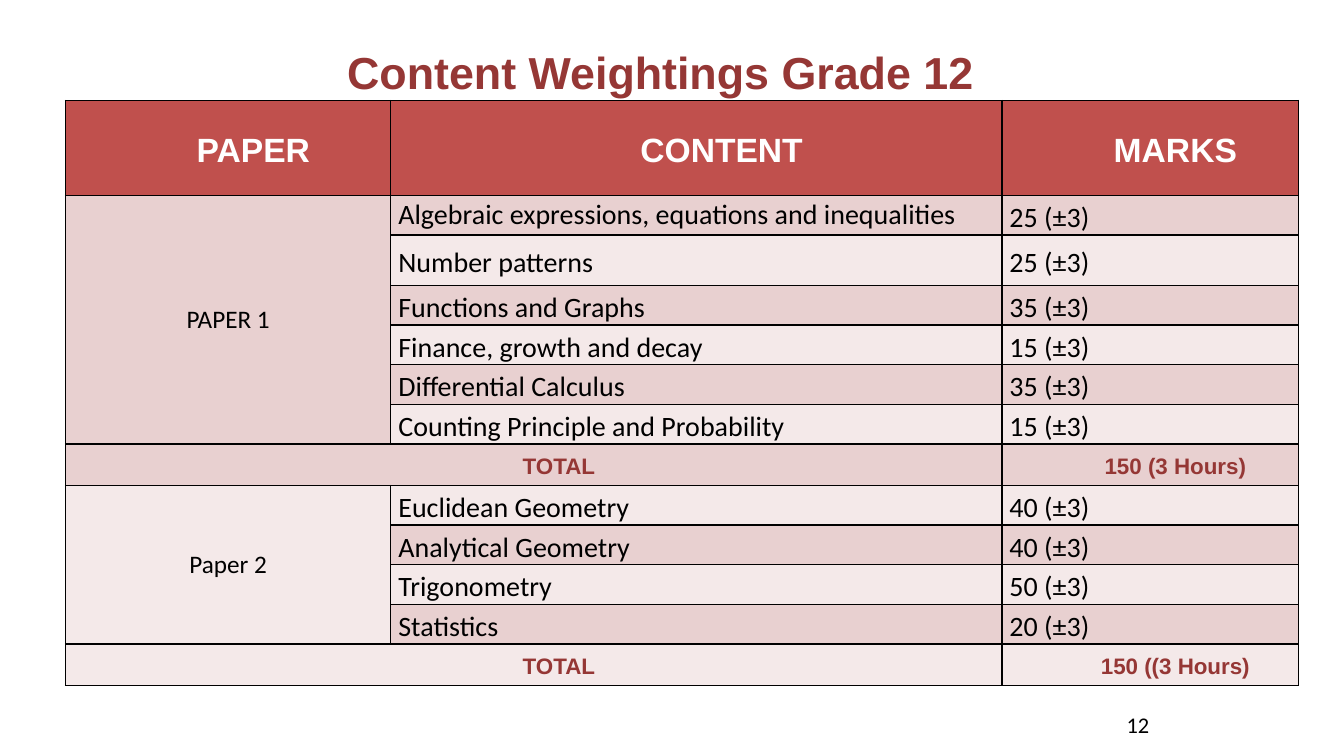
from lxml import etree
from pptx import Presentation
from pptx.dml.color import RGBColor
from pptx.enum.text import MSO_ANCHOR, MSO_AUTO_SIZE, PP_ALIGN
from pptx.oxml.ns import qn
from pptx.util import Cm, Pt

MIDDLE = MSO_ANCHOR.MIDDLE
LEFT, CENTER = PP_ALIGN.LEFT, PP_ALIGN.CENTER
FIT_SHAPE = MSO_AUTO_SIZE.SHAPE_TO_FIT_TEXT

BLACK = RGBColor(0x00, 0x00, 0x00)
WHITE = RGBColor(0xFF, 0xFF, 0xFF)
MAROON = RGBColor(0x95, 0x37, 0x35)
HEADER_RED = RGBColor(0xC0, 0x50, 0x4D)
BANDS = (RGBColor(0xF4, 0xE9, 0xE9), RGBColor(0xE8, 0xD0, 0xD0))

HEADINGS = ("PAPER", "CONTENT", "MARKS")
PAPERS = (
    ("PAPER 1", (
        ("Algebraic expressions, equations and inequalities", "25 (±3)"),
        ("Number patterns", "25 (±3)"),
        ("Functions and Graphs", "35 (±3)"),
        ("Finance, growth and decay", "15 (±3)"),
        ("Differential Calculus", "35 (±3)"),
        ("Counting Principle and Probability", "15 (±3)"),
    ), "150 (3 Hours)"),
    ("Paper 2", (
        ("Euclidean Geometry", "40 (±3)"),
        ("Analytical Geometry", "40 (±3)"),
        ("Trigonometry", "50 (±3)"),
        ("Statistics", "20 (±3)"),
    ), "150 ((3 Hours)"),
)
COLUMN_WIDTHS = (8.2, 15.4, 7.47)
HEADER_HEIGHT, TOPIC_HEIGHT, TOTAL_HEIGHT = 2.39, 1, 1.04
TALL_HEIGHTS = {"Number patterns": 1.27}


def write(tf, text, size, color=BLACK, font="Calibri", bold=False,
          align=LEFT, indent=0, line=1, after=0):
    p = tf.paragraphs[0]
    p.alignment = align
    p.line_spacing = line
    p.space_after = Pt(after)
    pPr = p._p.get_or_add_pPr()
    pPr.set("marL", str(Cm(indent)))
    pPr.set("indent", "0")
    r = p.add_run()
    r.text = text
    r.font.size, r.font.name, r.font.bold = Pt(size), font, bold
    r.font.color.rgb = color


def write_heading(tf, text, size, color=MAROON):
    write(tf, text, size, color, "Arial", True, CENTER, 1.27, 1.15, 6)


def write_topic(tf, text, line=1.15):
    write(tf, text, 20, line=line, after=10)


def style_cell(cell, fill, tight):
    """Fill and border a cell; tight cells have no top and bottom margin."""
    cell.vertical_anchor = MIDDLE
    cell.fill.solid()
    cell.fill.fore_color.rgb = fill
    if tight:
        cell.margin_left = cell.margin_right = Cm(0.19)
        cell.margin_top = cell.margin_bottom = 0
    tcPr = cell._tc.get_or_add_tcPr()
    for position, side in enumerate(("lnL", "lnR", "lnT", "lnB")):
        ln = etree.Element(qn(f"a:{side}"), w=str(Pt(1)))
        solid = etree.SubElement(ln, qn("a:solidFill"))
        etree.SubElement(solid, qn("a:srgbClr"), val=str(BLACK))
        tcPr.insert(position, ln)


def add_title(s, left, top, width, height):
    tf = s.shapes.add_textbox(Cm(left), Cm(top), Cm(width), Cm(height)).text_frame
    tf.word_wrap = True
    tf.vertical_anchor = MIDDLE
    write_heading(tf, "Content Weightings Grade 12", 32)


def add_paper(table, first, name, topics, total):
    """Fill one paper's topic rows and total row; return the next free row."""
    last = first + len(topics)
    for row, (topic, marks) in enumerate(topics, first):
        table.rows[row].height = Cm(TALL_HEIGHTS.get(topic, TOPIC_HEIGHT))
        write_topic(table.cell(row, 1).text_frame, topic, 1 if row == 1 else 1.15)
        write_topic(table.cell(row, 2).text_frame, marks)
        for column in range(3):
            band = first if column == 0 else row
            style_cell(table.cell(row, column), BANDS[band % 2], True)
    table.cell(first, 0).merge(table.cell(last - 1, 0))
    write(table.cell(first, 0).text_frame, name, 18, align=CENTER)

    table.rows[last].height = Cm(TOTAL_HEIGHT)
    for column in range(3):
        style_cell(table.cell(last, column), BANDS[last % 2], False)
    table.cell(last, 0).merge(table.cell(last, 1))
    write_heading(table.cell(last, 0).text_frame, "TOTAL", 16)
    write_heading(table.cell(last, 2).text_frame, total, 16)
    return last + 1


def add_weightings(s, left, top, width, height):
    count = 1 + sum(len(topics) + 1 for _, topics, _ in PAPERS)
    table = s.shapes.add_table(count, len(HEADINGS), Cm(left), Cm(top),
                               Cm(width), Cm(height)).table
    for column, column_width in zip(table.columns, COLUMN_WIDTHS):
        column.width = Cm(column_width)
    table.rows[0].height = Cm(HEADER_HEIGHT)
    for cell, heading in zip(table.rows[0].cells, HEADINGS):
        style_cell(cell, HEADER_RED, True)
        write_heading(cell.text_frame, heading, 24, WHITE)
    row = 1
    for paper in PAPERS:
        row = add_paper(table, row, *paper)


def add_page_number(s, left, top, width, height):
    tf = s.shapes.add_textbox(Cm(left), Cm(top), Cm(width), Cm(height)).text_frame
    tf.word_wrap = False
    tf.auto_size = FIT_SHAPE
    write(tf, "12", 16)


def main():
    prs = Presentation()
    prs.slide_width, prs.slide_height = Cm(33.87), Cm(19.05)
    s = prs.slides.add_slide(prs.slide_layouts[6])
    add_title(s, 1.7, 0.33, 28.63, 2.77)
    add_weightings(s, 1.65, 2.53, sum(COLUMN_WIDTHS), 14.74)
    add_page_number(s, 28.14, 17.8, 1.09, 0.94)
    prs.save("out.pptx")


if __name__ == "__main__":
    main()
